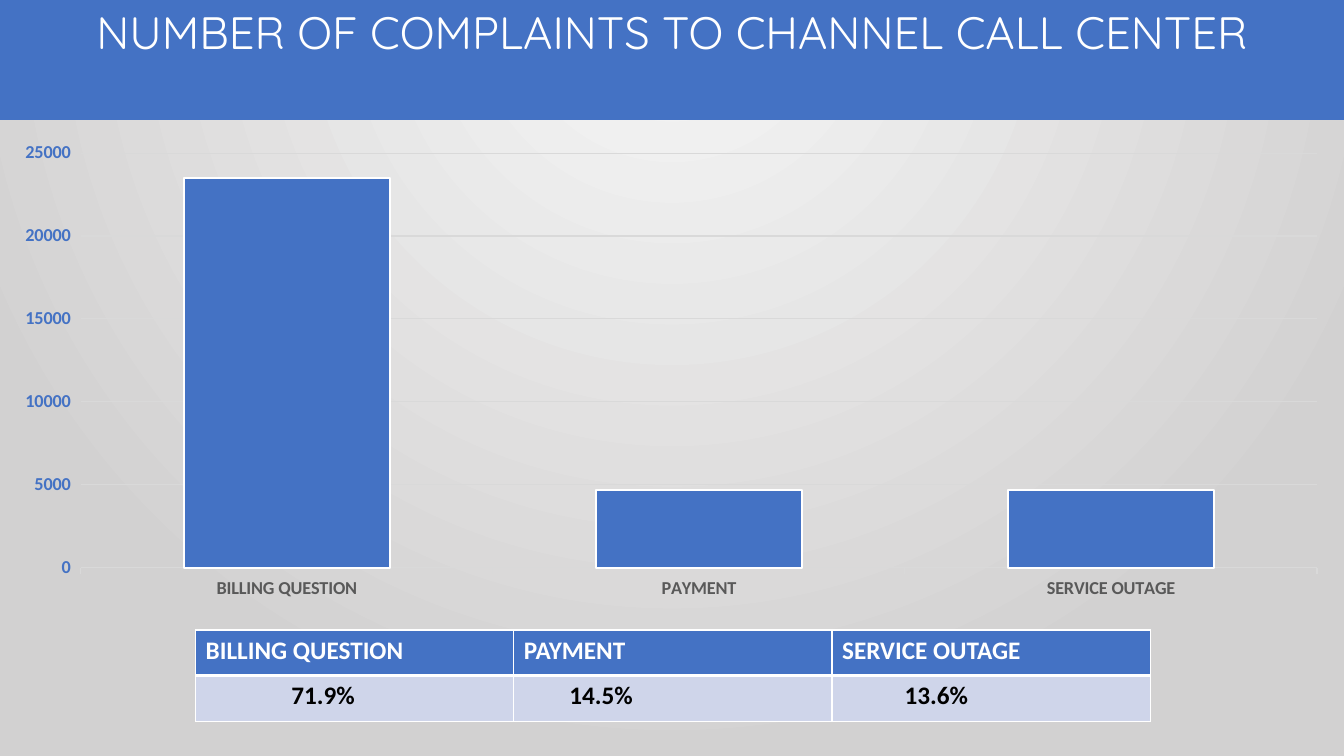
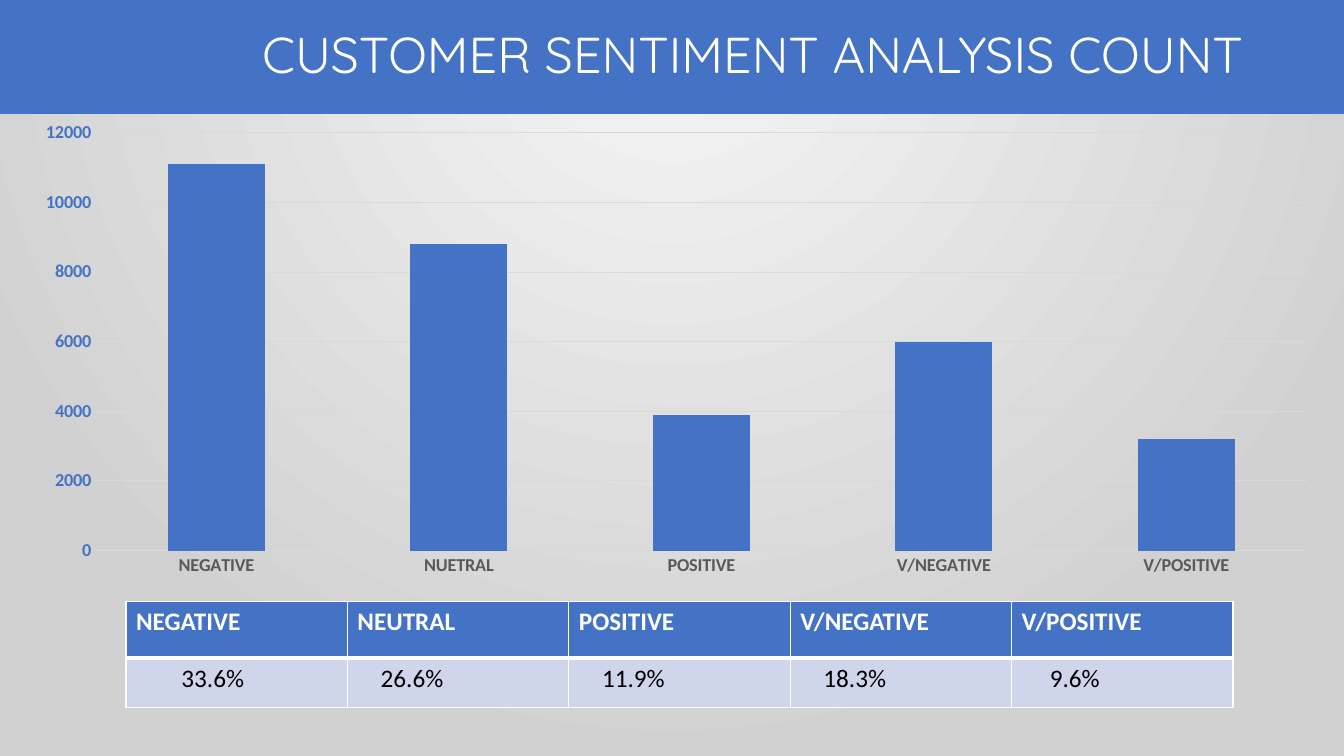
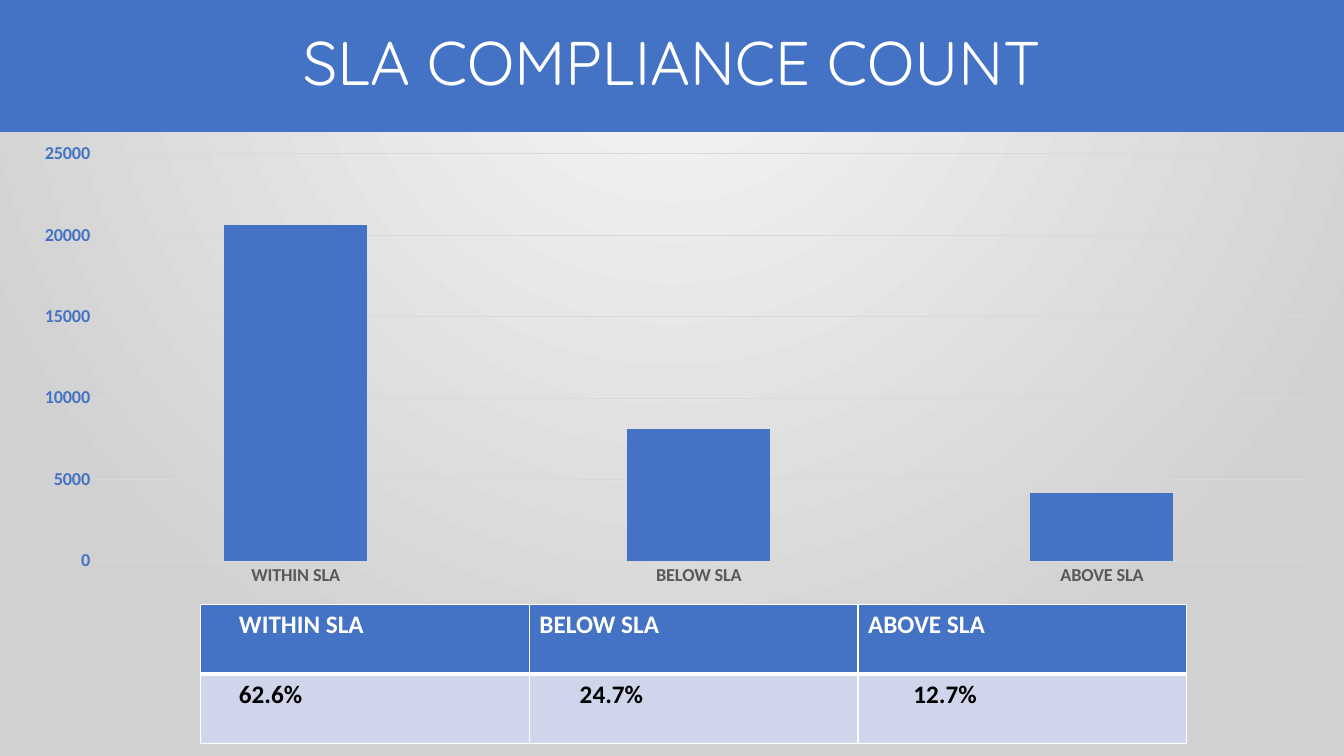
from pptx import Presentation
from pptx.chart.data import CategoryChartData
from pptx.dml.color import RGBColor
from pptx.enum.chart import XL_CHART_TYPE as ChartType, XL_TICK_MARK as Tick
from pptx.enum.text import MSO_ANCHOR as Anchor, MSO_AUTO_SIZE as AutoSize, PP_ALIGN as Align
from pptx.oxml import parse_xml
from pptx.oxml.ns import nsdecls, qn
from pptx.util import Inches, Pt

# Shared look
COLOURS = {
    "blue": "4472C4", "pale": "CFD5EA", "white": "FFFFFF", "black": "000000",
    "label": "595959", "grid": "D9D9D9", "centre": "F6F6F6", "edge": "D2D1D1",
}
PAGE_WIDTH = 13.33
CELL_INSET = 0.1
FONTS = {
    "title": {"name": "Quicksand", "colour": "white", "bold": False},
    "chart": {"name": "Calibri", "size": Pt(10), "colour": "black"},
    "category": {"name": "Calibri", "size": Pt(13), "colour": "label", "bold": True},
    "value": {"name": "Calibri", "size": Pt(13), "colour": "blue", "bold": True},
    "header": {"name": "Calibri", "size": Pt(18), "colour": "white", "bold": True},
    "share": {"name": "Calibri", "size": Pt(18), "colour": "black"},
}

# Content: boxes are left, top, width, height; plot is a share of the chart box
PAGES = [
    {
        "title": "NUMBER OF COMPLAINTS TO CHANNEL CALL CENTER",
        "size": 32.4, "band": 1.19, "insets": {"margin_bottom": Inches(0.55)},
        "chart": (0, 1.33, 13.33, 4.73), "plot": (0.06, 0.04, 0.92, 0.87),
        "type": ChartType.COLUMN_CLUSTERED, "gap": 100, "outline": True, "tick": Tick.OUTSIDE,
        "top": 25000, "step": 5000,
        "categories": ["BILLING QUESTION", "PAYMENT", "SERVICE OUTAGE"],
        "values": [23500, 4700, 4700],
        "table": (1.94, 6.25, 9.47), "rows": (0.45, 0.46), "bold": True,
        "headers": ["BILLING QUESTION", "PAYMENT", "SERVICE OUTAGE"],
        "shares": ["71.9%", "14.5%", "13.6%"],
        "indents": [(0, 0, 0), (0.85, 0.45, 0.62)],
    },
    {
        "title": "CUSTOMER SENTIMENT ANALYSIS COUNT",
        "size": 36, "band": 1.13, "insets": {"margin_left": Inches(1.7)},
        "chart": (0.16, 1.13, 13.07, 4.71), "plot": (0.06, 0.04, 0.92, 0.88),
        "type": ChartType.COLUMN_STACKED, "gap": 150, "outline": False, "tick": Tick.NONE,
        "top": 12000, "step": 2000,
        "categories": ["NEGATIVE", "NUETRAL", "POSITIVE", "V/NEGATIVE", "V/POSITIVE"],
        "values": [11100, 8800, 3900, 6000, 3200],
        "table": (1.25, 5.97, 10.98), "rows": (0.56, 0.49), "bold": False,
        "headers": ["NEGATIVE", "NEUTRAL", "POSITIVE", "V/NEGATIVE", "V/POSITIVE"],
        "shares": ["33.6%", "26.6%", "11.9%", "18.3%", "9.6%"],
        "indents": [(0, 0, 0, 0, 0), (0.45, 0.23, 0.23, 0.23, 0.28)],
    },
    {
        "title": "SLA COMPLIANCE COUNT",
        "size": 44, "band": 1.31, "insets": {},
        "chart": (0, 1.38, 13.33, 4.87), "plot": (0.07, 0.03, 0.9, 0.83),
        "type": ChartType.COLUMN_CLUSTERED, "gap": 182, "outline": False, "tick": Tick.NONE,
        "top": 25000, "step": 5000,
        "categories": ["WITHIN SLA", "BELOW SLA", "ABOVE SLA"],
        "values": [20600, 8100, 4200],
        "table": (1.99, 6, 9.78), "rows": (0.69, 0.69), "bold": True,
        "headers": ["WITHIN SLA", "BELOW SLA", "ABOVE SLA"],
        "shares": ["62.6%", "24.7%", "12.7%"],
        "indents": [(0.28, 0, 0), (0.28, 0.4, 0.45)],
    },
]


def rgb(name):
    return RGBColor.from_string(COLOURS[name])


def set_font(font, look, **extra):
    for key, value in {**FONTS[look], **extra}.items():
        if key == "colour":
            font.color.rgb = rgb(value)
        else:
            setattr(font, key, value)


deck = Presentation()
deck.slide_width, deck.slide_height = Inches(PAGE_WIDTH), Inches(7.5)

# Radial background on the master
master = deck.slide_master
backdrop = master.background.fill
backdrop.gradient()
for stop, name in zip(backdrop.gradient_stops, ("centre", "edge")):
    stop.color.rgb = rgb(name)
linear = next(master.element.iter(qn("a:lin")))
linear.getparent().replace(linear, parse_xml(
    f'<a:path {nsdecls("a")} path="circle">'
    '<a:fillToRect l="43000" t="0" r="43000" b="100000"/></a:path>'))

for page in PAGES:
    slide = deck.slides.add_slide(deck.slide_layouts[5])

    # Title band
    title = slide.shapes.title
    place = {"left": 0, "top": 0, "width": Inches(PAGE_WIDTH), "height": Inches(page["band"])}
    for key, value in place.items():
        setattr(title, key, value)
    title.fill.solid()
    title.fill.fore_color.rgb = rgb("blue")
    frame = title.text_frame
    frame.text = page["title"]
    layout = {"word_wrap": True, "auto_size": AutoSize.NONE, "vertical_anchor": Anchor.MIDDLE}
    for key, value in {**layout, **page["insets"]}.items():
        setattr(frame, key, value)
    para = frame.paragraphs[0]
    para.alignment, para.line_spacing = Align.CENTER, 0.9
    set_font(para.runs[0].font, "title", size=Pt(page["size"]))

    # Column chart
    data = CategoryChartData()
    data.categories = page["categories"]
    data.add_series("Series 1", page["values"])
    box = [Inches(length) for length in page["chart"]]
    chart = slide.shapes.add_chart(page["type"], *box, data).chart
    chart.has_title = chart.has_legend = False
    set_font(chart.font, "chart")
    plot = chart.plots[0]
    plot.gap_width, plot.vary_by_categories = page["gap"], False
    bars = plot.series[0].format
    bars.fill.solid()
    bars.fill.fore_color.rgb = rgb("blue")
    if page["outline"]:
        bars.line.color.rgb = rgb("white")
        bars.line.width = Pt(1.5)

    # Axes and gridlines
    for axis, look in ((chart.category_axis, "category"), (chart.value_axis, "value")):
        axis.major_tick_mark, axis.minor_tick_mark = page["tick"], Tick.NONE
        set_font(axis.tick_labels.font, look)
    scale = chart.value_axis
    scale.minimum_scale, scale.maximum_scale, scale.major_unit = 0, page["top"], page["step"]
    scale.has_major_gridlines = True
    scale.format.line.fill.background()
    for line in (scale.major_gridlines.format.line, chart.category_axis.format.line):
        line.color.rgb = rgb("grid")
        line.width = Pt(0.75)

    # Inner plot area
    area = next(chart.element.iter(qn("c:plotArea")))
    for automatic in area.findall(qn("c:layout")):
        area.remove(automatic)
    sizes = "".join(f'<c:{key} val="{value}"/>' for key, value in zip("xywh", page["plot"]))
    area.insert(0, parse_xml(
        f'<c:layout {nsdecls("c")}><c:manualLayout><c:layoutTarget val="inner"/>'
        f'<c:xMode val="edge"/><c:yMode val="edge"/>{sizes}</c:manualLayout></c:layout>'))

    # Share table
    left, top, width = page["table"]
    count = len(page["headers"])
    table = slide.shapes.add_table(2, count, Inches(left), Inches(top), Inches(width),
                                   Inches(sum(page["rows"]))).table
    for column in table.columns:
        column.width = Inches(width / count)
    for row, height in zip(table.rows, page["rows"]):
        row.height = Inches(height)
    row_styles = [
        (page["headers"], "header", "blue", True, {"L": 1, "R": 1, "T": 1, "B": 3}),
        (page["shares"], "share", "pale", page["bold"], {"L": 1, "R": 1, "T": 3, "B": 1}),
    ]
    for row, (texts, look, fill, bold, borders) in enumerate(row_styles):
        for col, text in enumerate(texts):
            cell = table.cell(row, col)
            cell.margin_left = Inches(CELL_INSET + page["indents"][row][col])
            cell.text = text
            set_font(cell.text_frame.paragraphs[0].runs[0].font, look, bold=bold)
            properties = cell._tc.get_or_add_tcPr()
            for side, points in borders.items():
                properties.append(parse_xml(
                    f'<a:ln{side} {nsdecls("a")} w="{Pt(points)}"><a:solidFill>'
                    f'<a:srgbClr val="{COLOURS["white"]}"/></a:solidFill></a:ln{side}>'))
            cell.fill.solid()
            cell.fill.fore_color.rgb = rgb(fill)

deck.save("out.pptx")
